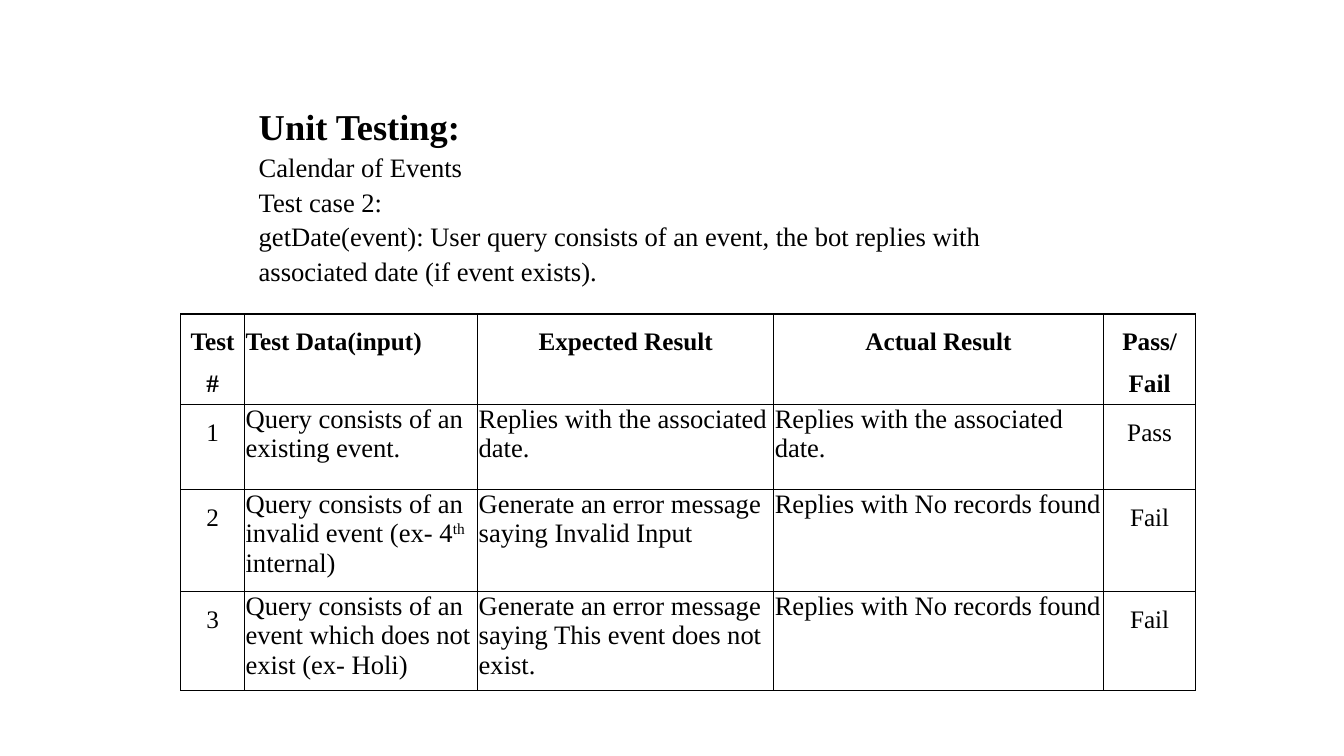
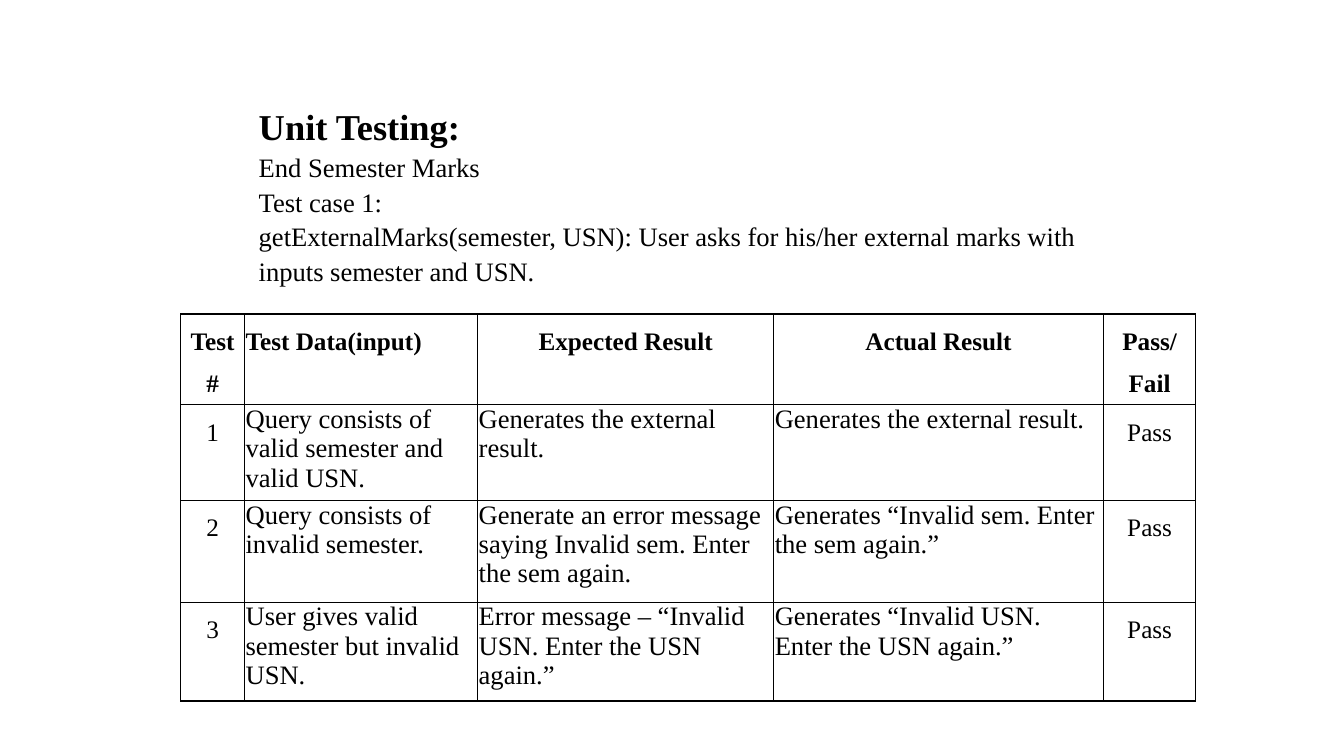
"""Builds two unit-testing slides, each with a heading block and a results table."""
from lxml import etree
from pptx import Presentation
from pptx.dml.color import RGBColor
from pptx.enum.text import MSO_AUTO_SIZE, PP_ALIGN
from pptx.oxml.ns import qn
from pptx.util import Pt

PX = 9525
CENTER = PP_ALIGN.CENTER
LEFT = PP_ALIGN.LEFT
GROW = MSO_AUTO_SIZE.SHAPE_TO_FIT_TEXT

COLOURS = {"text": "000000", "border": "000000", "page": "FFFFFF"}
FONT = "Times New Roman"
TITLE_SIZE, BODY_SIZE, LABEL_SIZE = 26, 19, 18
BODY_SPACING, LABEL_SPACING = 1.09, 1.5
BORDER_WIDTH = Pt(1)

COLUMN_WIDTHS = [61, 222, 282, 314, 88]
HEADERS = ["Test #", "Test Data(input)", "Expected Result", "Actual Result", "Pass/ Fail"]
LABEL_COLUMNS = (0, len(HEADERS) - 1)
INPUT_COLUMN = 1

SLIDES = [
    {
        "lines": [
            "Calendar of Events",
            "Test case 2:",
            "getDate(event): User query consists of an event, the bot replies with "
            "associated date (if event exists).",
        ],
        "row_heights": [85, 81, 97, 94],
        "tests": [
            ["1", "Query consists of an existing event.",
             "Replies with the associated date.",
             "Replies with the associated date.", "Pass"],
            ["2", "Query consists of an invalid event (ex- 4^th^ internal)",
             "Generate an error message saying Invalid Input",
             "Replies with No records found", "Fail"],
            ["3", "Query consists of an event which does not exist (ex- Holi)",
             "Generate an error message saying This event does not exist.",
             "Replies with No records found", "Fail"],
        ],
    },
    {
        "lines": [
            "End Semester Marks",
            "Test case 1:",
            "getExternalMarks(semester, USN): User asks for his/her external marks "
            "with inputs semester and USN.",
        ],
        "row_heights": [85, 91, 97, 94],
        "tests": [
            ["1", "Query consists of valid semester and valid USN.",
             "Generates the external result.",
             "Generates the external result.", "Pass"],
            ["2", "Query consists of invalid semester.",
             "Generate an error message saying Invalid sem. Enter the sem again.",
             "Generates “Invalid sem. Enter the sem again.”", "Pass"],
            ["3", "User gives valid semester but invalid USN.",
             "Error message – “Invalid USN. Enter the USN again.”",
             "Generates “Invalid USN. Enter the USN again.”", "Pass"],
        ],
    },
]


def px(*lengths):
    """Turn pixel lengths into EMU."""
    return [length * PX for length in lengths]


def format_span(span, size, bold=False):
    """Apply the shared font to one run."""
    span.font.name = FONT
    span.font.size = Pt(size)
    span.font.bold = bold
    span.font.color.rgb = RGBColor.from_string(COLOURS["text"])


def write_spans(para, text, size, bold=False):
    """Write text into a paragraph, raising the parts between carets."""
    for index, part in enumerate(text.split("^")):
        span = para.add_run()
        span.text = part
        format_span(span, size, bold)
        if index % 2:
            span.font._element.set("baseline", "30000")


def add_heading(page, lines):
    """Add the bold title with its description lines."""
    box = page.shapes.add_textbox(*px(237, 86, 815, 184))
    frame = box.text_frame
    frame.word_wrap = True
    frame.auto_size = GROW
    frame.margin_left = frame.margin_right = Pt(7.2)
    frame.margin_top = frame.margin_bottom = Pt(7.2)
    frame.text = "\n".join(["Unit Testing:"] + lines)
    for index, para in enumerate(frame.paragraphs):
        para.line_spacing = BODY_SPACING
        is_title = index == 0
        format_span(para.runs[0], TITLE_SIZE if is_title else BODY_SIZE, is_title)


def add_borders(cell):
    """Draw a thin solid line on all four sides of a cell."""
    properties = cell._tc.get_or_add_tcPr()
    for side in ("a:lnL", "a:lnR", "a:lnT", "a:lnB"):
        line = etree.SubElement(properties, qn(side), w=str(BORDER_WIDTH))
        fill = etree.SubElement(line, qn("a:solidFill"))
        etree.SubElement(fill, qn("a:srgbClr"), val=COLOURS["border"])


def fill_cell(cell, text, row, column):
    """Write and style one table cell according to its place."""
    is_header = row == 0
    is_label = is_header or column in LABEL_COLUMNS
    cell.margin_left, cell.margin_right = px(1, 1)
    cell.margin_top = cell.margin_bottom = 0
    add_borders(cell)
    cell.fill.background()
    para = cell.text_frame.paragraphs[0]
    para.alignment = CENTER if is_label and column != INPUT_COLUMN else LEFT
    if is_label:
        para.line_spacing = LABEL_SPACING
    write_spans(para, text, LABEL_SIZE if is_label else BODY_SIZE, is_header)


def add_results(page, tests, row_heights):
    """Add the table of test results."""
    rows = [HEADERS] + tests
    frame = page.shapes.add_table(
        len(rows), len(HEADERS), *px(172, 299, sum(COLUMN_WIDTHS), sum(row_heights)))
    table = frame.table
    table.first_row = table.horz_banding = False
    for column, width in zip(table.columns, px(*COLUMN_WIDTHS)):
        column.width = width
    for row, height in zip(table.rows, px(*row_heights)):
        row.height = height
    for row, texts in enumerate(rows):
        for column, text in enumerate(texts):
            fill_cell(table.cell(row, column), text, row, column)


def main():
    """Build and save the deck."""
    deck = Presentation()
    deck.slide_width, deck.slide_height = px(1280, 720)
    for content in SLIDES:
        page = deck.slides.add_slide(deck.slide_layouts[6])
        page.background.fill.solid()
        page.background.fill.fore_color.rgb = RGBColor.from_string(COLOURS["page"])
        add_heading(page, content["lines"])
        add_results(page, content["tests"], content["row_heights"])
    deck.save("out.pptx")


if __name__ == "__main__":
    main()
